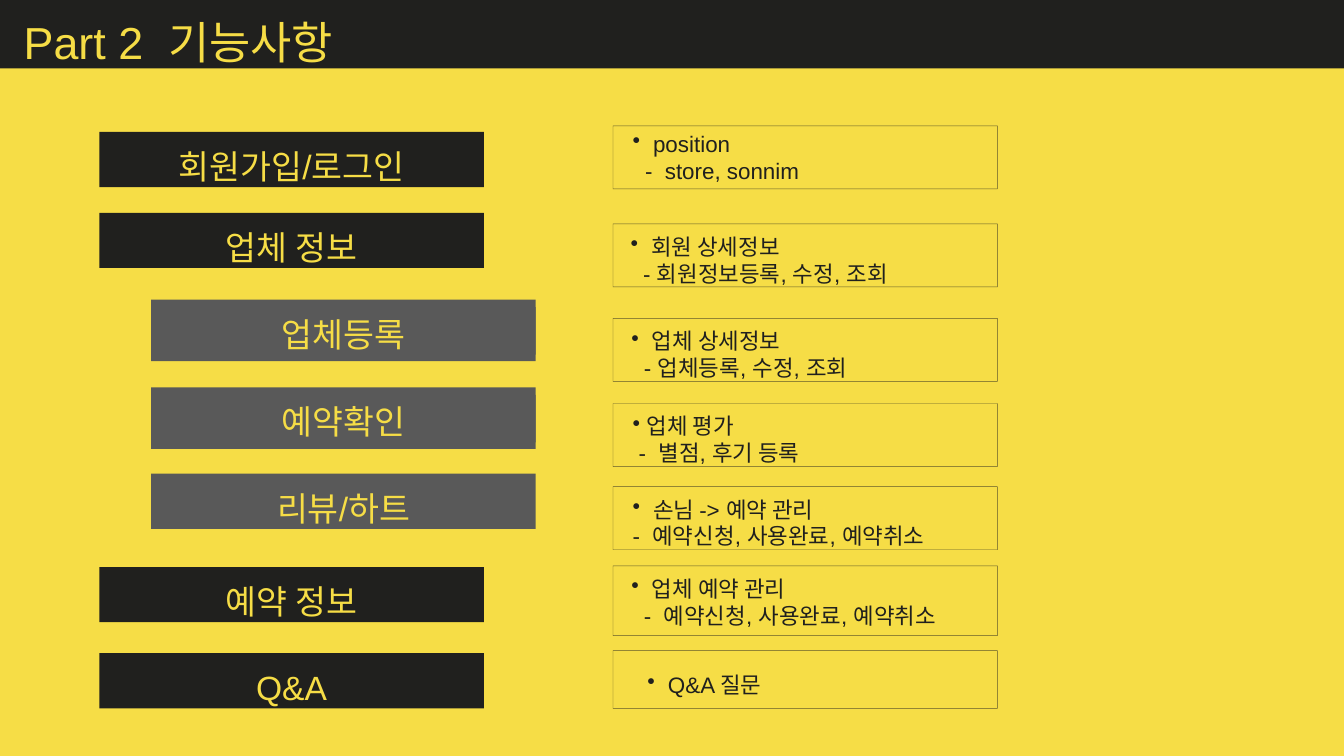
from lxml import etree
from pptx import Presentation
from pptx.dml.color import RGBColor
from pptx.enum.shapes import MSO_SHAPE
from pptx.enum.text import MSO_ANCHOR, MSO_AUTO_SIZE, PP_ALIGN
from pptx.oxml.ns import qn
from pptx.util import Pt

RECTANGLE = MSO_SHAPE.RECTANGLE
TOP = MSO_ANCHOR.TOP
GROW = MSO_AUTO_SIZE.SHAPE_TO_FIT_TEXT
LEFT, CENTER = PP_ALIGN.LEFT, PP_ALIGN.CENTER

YELLOW = RGBColor(0xF6, 0xDD, 0x46)
DARK = RGBColor(0x20, 0x20, 0x1E)
GRAY = RGBColor(0x59, 0x59, 0x59)

FONT = "Arial"
COLUMN_WIDTH = 206
BAR_HEIGHT = 29.6
MAIN_LEFT, SUB_LEFT = 53.2, 81
CARD_LEFT = 328.4
BULLET_INDENT = 11
DASH_INDENT = 6.7

# label, left, top, bar colour, fill of the caption
FEATURES = [
    ("회원가입/로그인", MAIN_LEFT, 70.7, DARK, None),
    ("업체 정보", MAIN_LEFT, 114, DARK, None),
    ("업체등록", SUB_LEFT, 160.5, GRAY, GRAY),
    ("예약확인", SUB_LEFT, 207.5, GRAY, GRAY),
    ("리뷰/하트", SUB_LEFT, 253.8, GRAY, None),
    ("예약 정보", MAIN_LEFT, 303.8, DARK, None),
    ("Q&A", MAIN_LEFT, 350, DARK, None),
]

# heading, bullet indent, detail, dash indent, extra gap after dash,
# card top, card height, text left offset, text top offset
DETAILS = [
    ("position", BULLET_INDENT, "store, sonnim", DASH_INDENT, 3.3,
     67.4, 33.8, 3.4, -1.2),
    ("회원 상세정보", BULLET_INDENT, "회원정보등록, 수정, 조회", DASH_INDENT, 0,
     120, 33.8, 2.4, 1.2),
    ("업체 상세정보", BULLET_INDENT, "업체등록, 수정, 조회", DASH_INDENT, 0,
     170.6, 33.8, 2.8, 1.2),
    ("업체 평가", 7.5, "별점, 후기 등록", 3.3, 3.3,
     216.2, 33.8, 3.4, 1.2),
    ("손님 -> 예약 관리", BULLET_INDENT, "예약신청, 사용완료, 예약취소", 0, 3.3,
     260.8, 33.8, 3.4, 1.2),
    ("업체 예약 관리", BULLET_INDENT, "예약신청, 사용완료, 예약취소", DASH_INDENT, 3.3,
     303.2, 37.4, 2.8, 1.2),
    ("Q&A 질문", BULLET_INDENT, None, 0, 0,
     348.6, 31, 11.4, 7.2),
]


def add_rectangle(shapes, left, top, width, height, fill=None):
    rectangle = shapes.add_shape(RECTANGLE, Pt(left), Pt(top), Pt(width), Pt(height))
    rectangle.shadow.inherit = False
    if fill is None:
        rectangle.fill.background()
    else:
        rectangle.fill.solid()
        rectangle.fill.fore_color.rgb = fill
    rectangle.line.fill.background()
    return rectangle


def add_text_frame(shapes, left, top, width, height):
    box = shapes.add_textbox(Pt(left), Pt(top), Pt(width), Pt(height))
    frame = box.text_frame
    frame.word_wrap = True
    frame.auto_size = GROW
    frame.vertical_anchor = TOP
    return frame


def style(paragraph, size, color, alignment=LEFT):
    paragraph.alignment = alignment
    paragraph.font.size = Pt(size)
    paragraph.font.name = FONT
    paragraph.font.color.rgb = color


def add_spaced_runs(paragraph, before, after, extra):
    """Part two texts by one space, widened by extra points."""
    paragraph.add_run().text = before
    space = paragraph.add_run()
    space.text = " "
    space.font._element.set("spc", str(round(extra * 100)))
    paragraph.add_run().text = after


def set_indent(paragraph, margin, first_line):
    properties = paragraph._p.get_or_add_pPr()
    properties.set("marL", str(Pt(margin)))
    properties.set("indent", str(Pt(first_line)))
    return properties


def add_bullet(paragraph, indent):
    properties = set_indent(paragraph, indent, -indent)
    bullet = etree.Element(qn("a:buChar"), char="•")
    properties.find(qn("a:defRPr")).addprevious(bullet)


def add_title(shapes):
    add_rectangle(shapes, 0, 0, 720, 36.6, DARK)
    title = add_text_frame(shapes, 5.6, 4.4, 276, 36).paragraphs[0]
    add_spaced_runs(title, "Part 2", "기능사항", 6.7)
    style(title, 24, YELLOW)


def add_feature(shapes, label, left, top, bar_color, caption_fill):
    group = shapes.add_group_shape().shapes
    add_rectangle(group, left, top, COLUMN_WIDTH, BAR_HEIGHT, bar_color)
    if caption_fill is not None:
        add_rectangle(group, left, top + 4, COLUMN_WIDTH, 29, caption_fill)
    caption = add_text_frame(group, left, top + 4, COLUMN_WIDTH, 29).paragraphs[0]
    caption.text = label
    style(caption, 18, YELLOW, CENTER)


def add_detail(shapes, heading, bullet_indent, detail, dash_indent, dash_gap,
               top, height, text_left, text_top):
    group = shapes.add_group_shape().shapes
    card = add_rectangle(group, CARD_LEFT, top, COLUMN_WIDTH, height)
    card.line.color.rgb = DARK
    card.line.width = Pt(0.25)
    line_color = card.line._ln.find(qn("a:solidFill"))[0]
    etree.SubElement(line_color, qn("a:alpha"), val="70000")

    text_height = 36 if detail else 21.6
    frame = add_text_frame(group, CARD_LEFT + text_left, top + text_top,
                           194, text_height)
    first = frame.paragraphs[0]
    first.text = heading
    style(first, 12, DARK)
    add_bullet(first, bullet_indent)
    if detail:
        second = frame.add_paragraph()
        add_spaced_runs(second, "-", detail, dash_gap)
        style(second, 12, DARK)
        set_indent(second, dash_indent, 0)


def main():
    presentation = Presentation()
    presentation.slide_width = Pt(720)
    presentation.slide_height = Pt(405)
    slide = presentation.slides.add_slide(presentation.slide_layouts[6])
    slide.background.fill.solid()
    slide.background.fill.fore_color.rgb = YELLOW

    add_title(slide.shapes)
    for feature in FEATURES:
        add_feature(slide.shapes, *feature)
    for detail in DETAILS:
        add_detail(slide.shapes, *detail)
    presentation.save("out.pptx")


if __name__ == "__main__":
    main()
